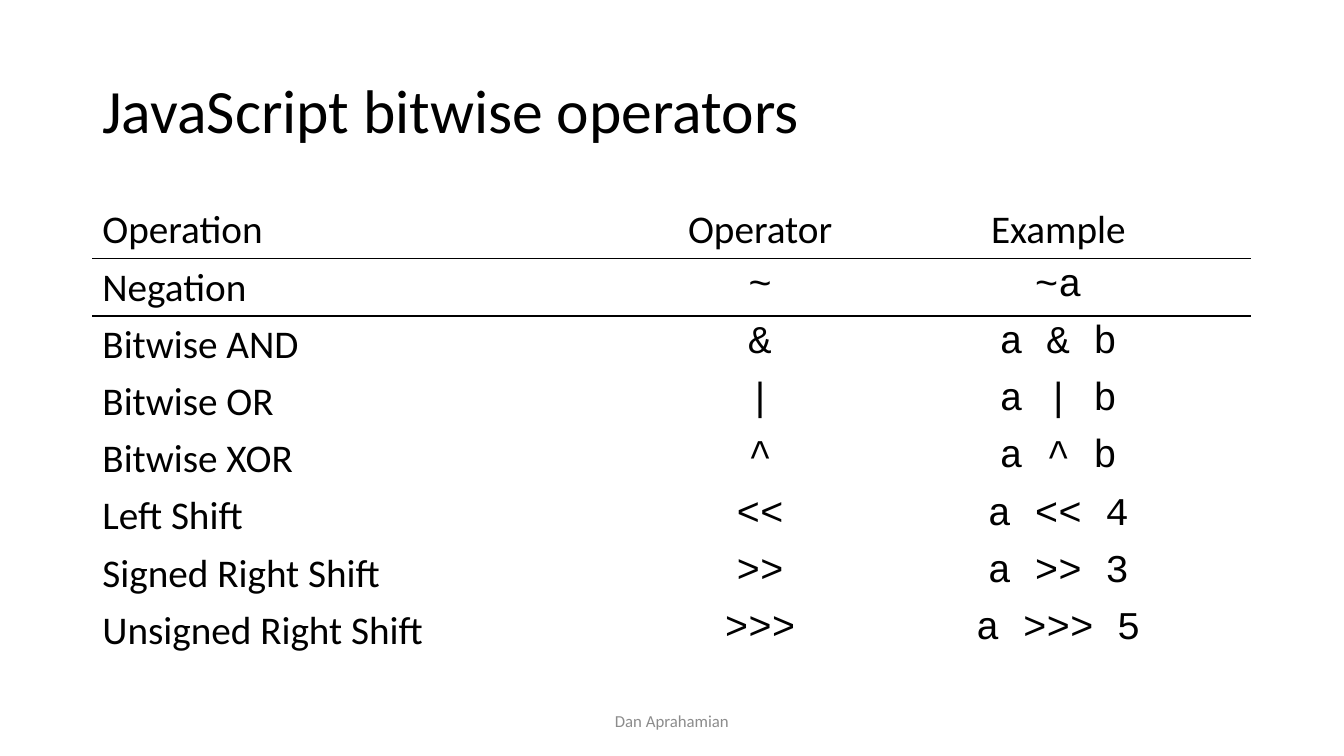
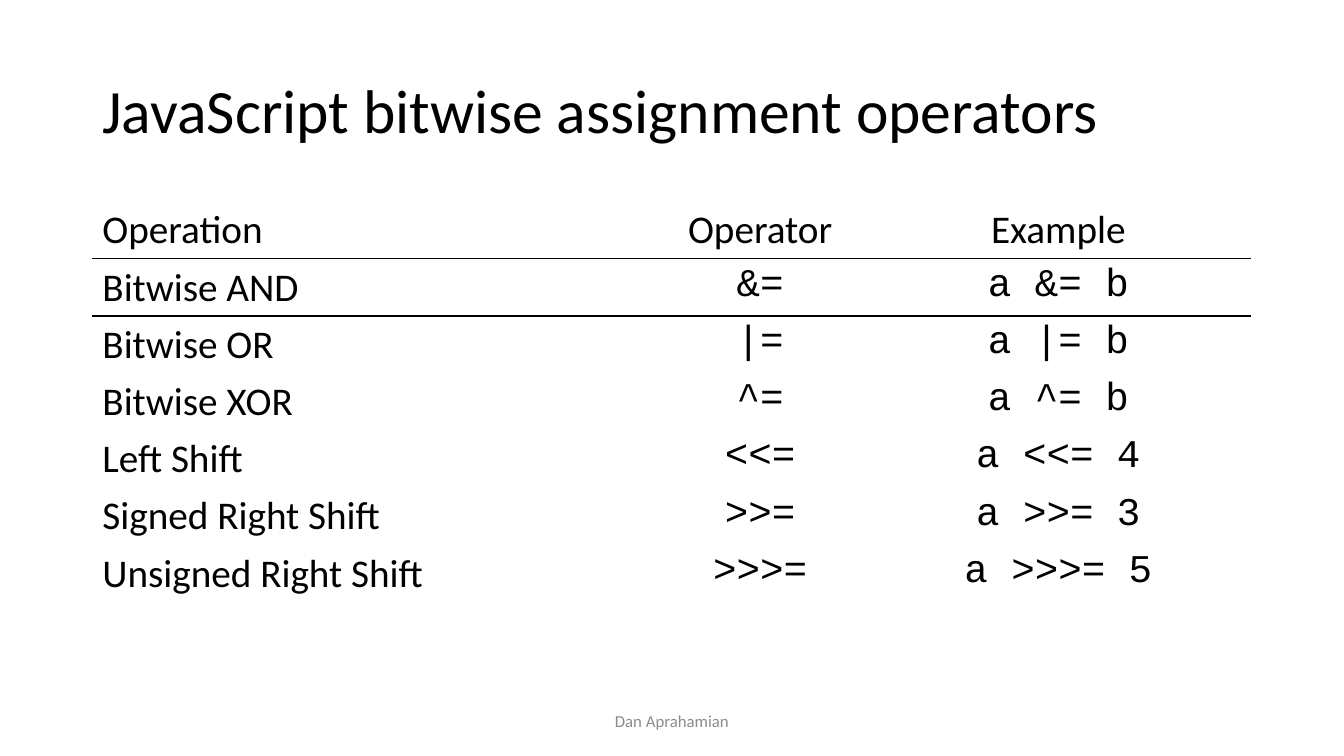
"""Builds two slides of tables on JavaScript bitwise operators."""
import dataclasses

import lxml.etree
import pptx
import pptx.dml.color
import pptx.enum.text
import pptx.oxml.ns
import pptx.util

ALIGN = pptx.enum.text.PP_ALIGN
ANCHOR = pptx.enum.text.MSO_ANCHOR
NO_STYLE = "{2D5ABB26-0587-4C30-8999-92F81FD0307C}"


@dataclasses.dataclass(frozen=True)
class Theme:
    ink: str = "000000"
    muted: str = "8C8C8C"
    body_font: str = "Calibri"
    code_font: str = "Courier New"
    title_size: int = 44
    table_size: int = 28
    footer_size: int = 12
    rule_width: int = 1


THEME = Theme()
GRID_COLUMNS, GRID_ROWS = 160, 90
TABLE_COLUMNS = (67, 25, 46)
TABLE_ROW = 6.8
RULED_ROWS = (0, 1)
HEADINGS = ("Operation", "Operator", "Example")
FOOTER = "Dan Aprahamian"


def grid(units):
    return pptx.util.Inches(units / 12)


def write(frame, text, size, font=THEME.body_font, color=THEME.ink,
          align=ALIGN.LEFT, spacing=1.0):
    para = frame.paragraphs[0]
    para.alignment = align
    para.line_spacing = spacing
    span = para.add_run()
    span.text = text
    span.font.size = pptx.util.Pt(size)
    span.font.name = font
    span.font.color.rgb = pptx.dml.color.RGBColor.from_string(color)


def rule_below(cell):
    properties = cell._tc.get_or_add_tcPr()
    line = lxml.etree.Element(pptx.oxml.ns.qn("a:lnB"),
                              w=str(pptx.util.Pt(THEME.rule_width)))
    fill = lxml.etree.SubElement(line, pptx.oxml.ns.qn("a:solidFill"))
    lxml.etree.SubElement(fill, pptx.oxml.ns.qn("a:srgbClr"), val=THEME.ink)
    properties.insert(0, line)


class Pages:
    def __init__(self):
        self.deck = pptx.Presentation()
        self.deck.slide_width = grid(GRID_COLUMNS)
        self.deck.slide_height = grid(GRID_ROWS)
        self.page = None

    def start(self, title):
        self.page = self.deck.slides.add_slide(self.deck.slide_layouts[6])
        self.text(title, 11, 4.8, 138, 17.4, size=THEME.title_size, spacing=0.9)
        self.text(FOOTER, 53, 83.4, 54, 4.8, size=THEME.footer_size,
                  color=THEME.muted, align=ALIGN.CENTER)

    def text(self, text, left, top, width, height, **style):
        box = self.page.shapes.add_textbox(*map(grid, (left, top, width, height)))
        box.text_frame.word_wrap = True
        box.text_frame.vertical_anchor = ANCHOR.MIDDLE
        write(box.text_frame, text, **style)

    def table(self, entries):
        rows = [HEADINGS, *entries]
        table = self.page.shapes.add_table(
            len(rows), len(HEADINGS), grid(11), grid(24),
            grid(sum(TABLE_COLUMNS)), grid(TABLE_ROW * len(rows))).table
        table.first_row = table.horz_banding = False
        table._tbl.tblPr.find(pptx.oxml.ns.qn("a:tableStyleId")).text = NO_STYLE
        for column, width in zip(table.columns, TABLE_COLUMNS):
            column.width = grid(width)
        for row, texts in enumerate(rows):
            for column, text in enumerate(texts):
                cell = table.cell(row, column)
                cell.fill.background()
                is_code = row > 0 and column > 0
                write(cell.text_frame, text, THEME.table_size,
                      font=THEME.code_font if is_code else THEME.body_font,
                      align=ALIGN.CENTER if column else ALIGN.LEFT)
                if row in RULED_ROWS:
                    rule_below(cell)


def main():
    pages = Pages()
    pages.start("JavaScript bitwise operators")
    binary = [
        ("Bitwise AND", "&", "b"),
        ("Bitwise OR", "|", "b"),
        ("Bitwise XOR", "^", "b"),
        ("Left Shift", "<<", "4"),
        ("Signed Right Shift", ">>", "3"),
        ("Unsigned Right Shift", ">>>", "5"),
    ]
    pages.table([("Negation", "~", "~a")]
                + [(name, sign, f"a {sign} {value}") for name, sign, value in binary])
    pages.start("JavaScript bitwise assignment operators")
    pages.table([(name, f"{sign}=", f"a {sign}= {value}")
                 for name, sign, value in binary])
    pages.deck.save("out.pptx")


if __name__ == "__main__":
    main()
